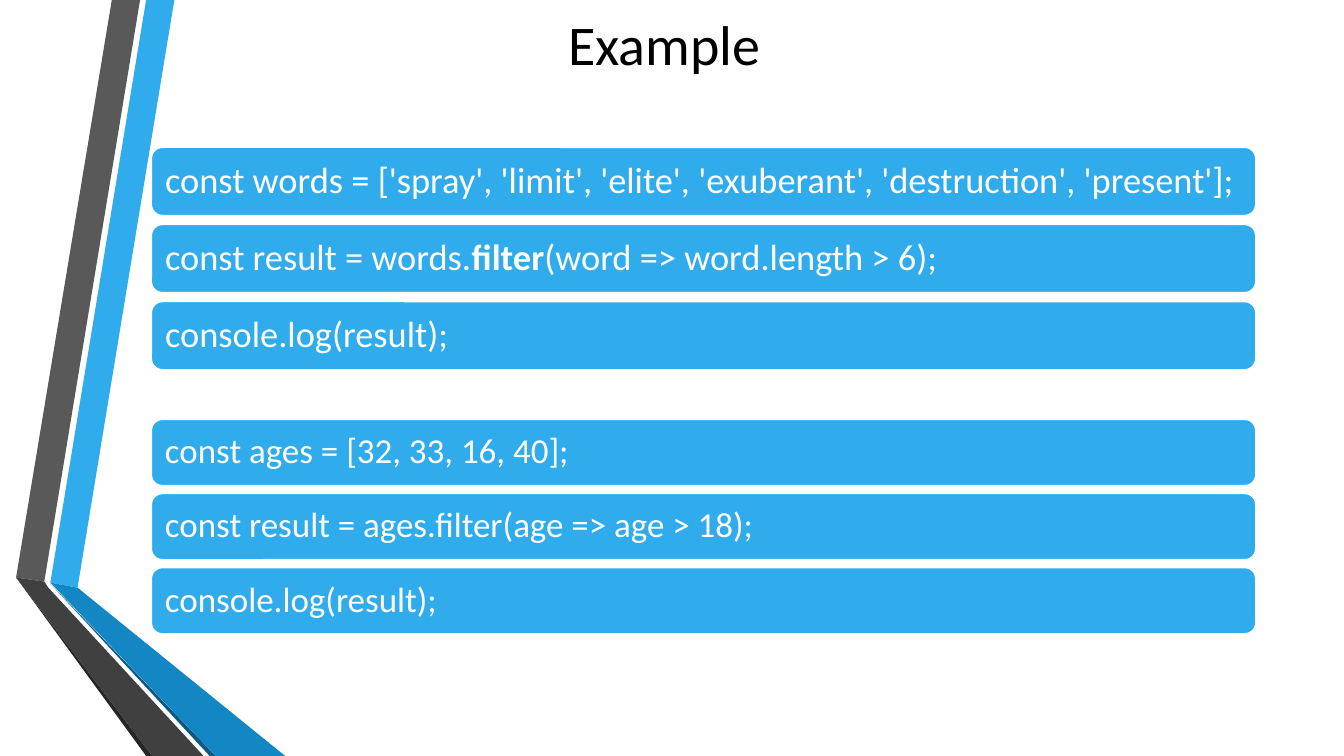
from dataclasses import dataclass

from pptx import Presentation
from pptx.dml.color import RGBColor
from pptx.enum.shapes import MSO_SHAPE
from pptx.enum.text import MSO_ANCHOR, PP_ALIGN
from pptx.shapes.autoshape import Shape
from pptx.slide import Slide
from pptx.text.text import TextFrame
from pptx.util import Emu, Inches, Pt

CELL = Inches(0.1)
COLUMNS, ROWS = 133.33, 75
FONT = "Calibri"
BLACK = RGBColor(0x00, 0x00, 0x00)
WHITE = RGBColor(0xFF, 0xFF, 0xFF)
SKY = RGBColor(0x30, 0xAC, 0xEC)
BLUE = RGBColor(0x12, 0x87, 0xC3)
NAVY = RGBColor(0x0C, 0x5A, 0x82)
GRAY = RGBColor(0x59, 0x59, 0x59)
CHARCOAL = RGBColor(0x40, 0x40, 0x40)
SOOT = RGBColor(0x26, 0x26, 0x26)

BAR_LEFT, BAR_WIDTH = 15, 109.6


@dataclass(frozen=True)
class Ribbon:
    color: RGBColor
    points: tuple[tuple[float, float], ...]


@dataclass(frozen=True)
class Listing:
    top: float
    pitch: float
    height: float
    size: int
    lines: tuple[tuple[str, ...], ...]


RIBBONS = (
    Ribbon(SKY, ((5, 57.8), (7.7, 58.3), (17.3, 0), (14.5, 0))),
    Ribbon(GRAY, ((13.9, 0), (11.1, 0), (1.6, 57.3), (4.4, 57.7))),
    Ribbon(SOOT, ((1.6, 57.3), (14.5, ROWS), (15.1, ROWS))),
    Ribbon(NAVY, ((5, 57.9), (20.8, ROWS), (21.4, ROWS))),
    Ribbon(BLUE, ((5, 57.8), (21.4, ROWS), (28.3, ROWS), (7.7, 58.3))),
    Ribbon(CHARCOAL, ((20.2, ROWS), (4.8, 58.3), (4.4, 57.7), (1.6, 57.3), (15.1, ROWS))),
)

LISTINGS = (
    Listing(14.6, 7.65, 6.8, 26, (
        ("const words = ['spray', 'limit', 'elite', 'exuberant', 'destruction', 'present'];",),
        ("const result = words.", "filter", "(word => word.length > 6);"),
        ("console.log(result);",),
    )),
    Listing(41.6, 7.35, 6.6, 25, (
        ("const ages = [32, 33, 16, 40];",),
        ("const result = ages.filter(age => age > 18);",),
        ("console.log(result);",),
    )),
)


def cells(count: float) -> Emu:
    return Emu(round(count * CELL))


def write_text(frame: TextFrame, spans: tuple[str, ...], *, size: int, color: RGBColor,
               align: PP_ALIGN, spacing: float = 1.0, inset: float = 1.0) -> None:
    frame.word_wrap = True
    frame.vertical_anchor = MSO_ANCHOR.MIDDLE
    frame.margin_left = frame.margin_right = cells(inset)
    frame.margin_top = frame.margin_bottom = 0
    para = frame.paragraphs[0]
    para.alignment = align
    para.line_spacing = spacing
    for index, text in enumerate(spans):
        span = para.add_run()
        span.text = text
        span.font.name = FONT
        span.font.size = Pt(size)
        span.font.bold = index % 2 == 1
        span.font.color.rgb = color


def paint(shape: Shape, color: RGBColor) -> None:
    shape.shadow.inherit = False
    shape.fill.solid()
    shape.fill.fore_color.rgb = color
    shape.line.fill.background()


def draw_ribbon(slide: Slide, ribbon: Ribbon) -> None:
    start, *others = [(cells(column), cells(row)) for column, row in ribbon.points]
    builder = slide.shapes.build_freeform(*start)
    builder.add_line_segments(others, close=True)
    paint(builder.convert_to_shape(), ribbon.color)


def draw_listing(slide: Slide, listing: Listing) -> None:
    for index, spans in enumerate(listing.lines):
        box = slide.shapes.add_shape(
            MSO_SHAPE.ROUNDED_RECTANGLE, cells(BAR_LEFT),
            cells(listing.top + index * listing.pitch),
            cells(BAR_WIDTH), cells(listing.height))
        paint(box, SKY)
        box.line.color.rgb = WHITE
        box.line.width = Pt(1.25)
        write_text(box.text_frame, spans, size=listing.size, color=WHITE,
                   align=PP_ALIGN.LEFT, spacing=0.9, inset=1.05)


def main() -> None:
    deck = Presentation()
    deck.slide_width, deck.slide_height = cells(COLUMNS), cells(ROWS)
    slide = deck.slides.add_slide(deck.slide_layouts[5])
    for ribbon in RIBBONS:
        draw_ribbon(slide, ribbon)
    title = slide.shapes.title
    title.left, title.top = cells(11.1), cells(0)
    title.width, title.height = cells(BAR_WIDTH), cells(8.6)
    write_text(title.text_frame, ("Example",), size=40, color=BLACK,
               align=PP_ALIGN.CENTER)
    for listing in LISTINGS:
        draw_listing(slide, listing)
    deck.save("out.pptx")


if __name__ == "__main__":
    main()
